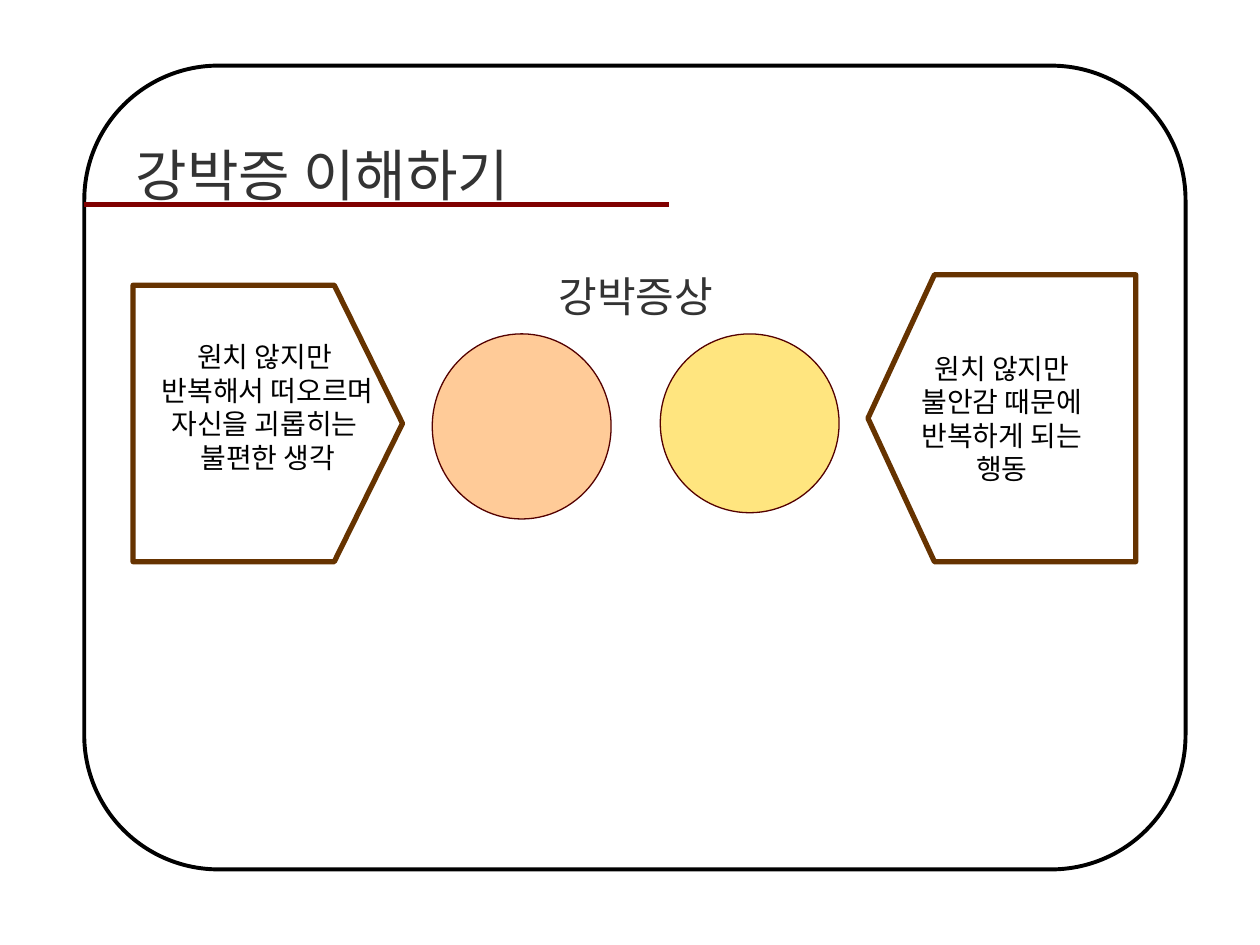
from dataclasses import dataclass

from lxml.etree import SubElement
from pptx import Presentation
from pptx.dml.color import RGBColor
from pptx.enum.shapes import MSO_CONNECTOR, MSO_SHAPE
from pptx.enum.text import MSO_ANCHOR, MSO_AUTO_SIZE, PP_ALIGN
from pptx.oxml.ns import qn
from pptx.util import Pt

FONT = "Noto Sans CJK KR"
BLACK = RGBColor(0x00, 0x00, 0x00)
CHARCOAL = RGBColor(0x33, 0x33, 0x33)
MAROON = RGBColor(0x80, 0x00, 0x00)
DARK_RED = RGBColor(0x54, 0x00, 0x00)
BROWN = RGBColor(0x66, 0x33, 0x00)
ORANGE = RGBColor(0xFF, 0x99, 0x33)
GOLD = RGBColor(0xFF, 0xCC, 0x00)


@dataclass(frozen=True)
class Circle:
    left: float
    height: float
    color: RGBColor


@dataclass(frozen=True)
class Pentagon:
    flat_x: float
    shoulder_x: float
    tip_x: float
    top: float
    lines: tuple[str, ...]
    bottom_inset: float = 3.6


CIRCLE_TOP = 190.8
CIRCLE_WIDTH = 102.2
PENTAGON_BOTTOM = 321.3
CIRCLES = (Circle(377.3, 102.2, GOLD), Circle(247, 105.8, ORANGE))
PENTAGONS = (
    Pentagon(76.3, 191.4, 229.7, 162.7,
             ("원치 않지만 ", "반복해서 떠오르며", "자신을 괴롭히는 ", "불편한 생각"), 22.8),
    Pentagon(649.4, 533.6, 496, 156.6,
             ("원치 않지만", "불안감 때문에", "반복하게 되는", "행동")),
)


def write_text(shape, lines, *, size, color, align=PP_ALIGN.LEFT,
               anchor=MSO_ANCHOR.TOP, bottom_inset=3.6) -> None:
    frame = shape.text_frame
    frame.word_wrap = False
    frame.vertical_anchor = anchor
    frame.margin_left = frame.margin_right = Pt(7.2)
    frame.margin_top, frame.margin_bottom = Pt(3.6), Pt(bottom_inset)
    for index, line in enumerate(lines):
        paragraph = frame.add_paragraph() if index else frame.paragraphs[0]
        paragraph.alignment = align
        run = paragraph.add_run()
        run.text = line
        run.font.size = Pt(size)
        run.font.color.rgb = color
        run.font.name = FONT
        SubElement(run.font._element, qn("a:ea")).set("typeface", FONT)


def style_outline(shape, color: RGBColor, width: float) -> None:
    shape.shadow.inherit = False
    shape.line.color.rgb = color
    shape.line.width = Pt(width)


def draw_heading(slide, text: str, left: float, top: float, width: float,
                 height: float, size: float, align=PP_ALIGN.LEFT) -> None:
    heading = slide.shapes.add_textbox(Pt(left), Pt(top), Pt(width), Pt(height))
    write_text(heading, [text], size=size, color=CHARCOAL, align=align)
    heading.text_frame.auto_size = MSO_AUTO_SIZE.SHAPE_TO_FIT_TEXT


def draw_circle(slide, circle: Circle) -> None:
    disc = slide.shapes.add_shape(MSO_SHAPE.OVAL, Pt(circle.left), Pt(CIRCLE_TOP),
                                  Pt(CIRCLE_WIDTH), Pt(circle.height))
    style_outline(disc, DARK_RED, 0.75)
    disc.fill.solid()
    disc.fill.fore_color.rgb = circle.color
    tint = disc._element.spPr.find(qn("a:solidFill"))[0]
    SubElement(tint, qn("a:alpha")).set("val", "50000")


def draw_pentagon(slide, pentagon: Pentagon) -> None:
    middle = (pentagon.top + PENTAGON_BOTTOM) / 2
    builder = slide.shapes.build_freeform(pentagon.flat_x, pentagon.top, scale=Pt(1))
    builder.add_line_segments([
        (pentagon.shoulder_x, pentagon.top),
        (pentagon.tip_x, middle),
        (pentagon.shoulder_x, PENTAGON_BOTTOM),
        (pentagon.flat_x, PENTAGON_BOTTOM),
    ], close=True)
    outline = builder.convert_to_shape()
    style_outline(outline, BROWN, 3)
    outline.fill.background()
    write_text(outline, pentagon.lines, size=16, color=BLACK, align=PP_ALIGN.CENTER,
               anchor=MSO_ANCHOR.MIDDLE, bottom_inset=pentagon.bottom_inset)


def main() -> None:
    presentation = Presentation()
    presentation.slide_width, presentation.slide_height = Pt(720), Pt(540)
    slide = presentation.slides.add_slide(presentation.slide_layouts[6])

    border = slide.shapes.add_shape(MSO_SHAPE.ROUNDED_RECTANGLE, Pt(48.2), Pt(37.5),
                                    Pt(629.3), Pt(459.3))
    border.adjustments[0] = 0.167
    border.fill.background()
    style_outline(border, BLACK, 2.25)

    title_rule = slide.shapes.add_connector(MSO_CONNECTOR.STRAIGHT, Pt(48.2), Pt(116.8),
                                            Pt(382.4), Pt(116.8))
    title_rule.line.color.rgb = MAROON
    title_rule.line.width = Pt(3)
    SubElement(title_rule._element.spPr, qn("a:effectLst"))

    draw_heading(slide, "강박증 이해하기", 70.6, 77, 240.5, 46, 32)
    for circle in CIRCLES:
        draw_circle(slide, circle)
    draw_heading(slide, "강박증상", 307.4, 151.2, 107.3, 36, 24, PP_ALIGN.RIGHT)
    for pentagon in PENTAGONS:
        draw_pentagon(slide, pentagon)

    presentation.save("out.pptx")


if __name__ == "__main__":
    main()
